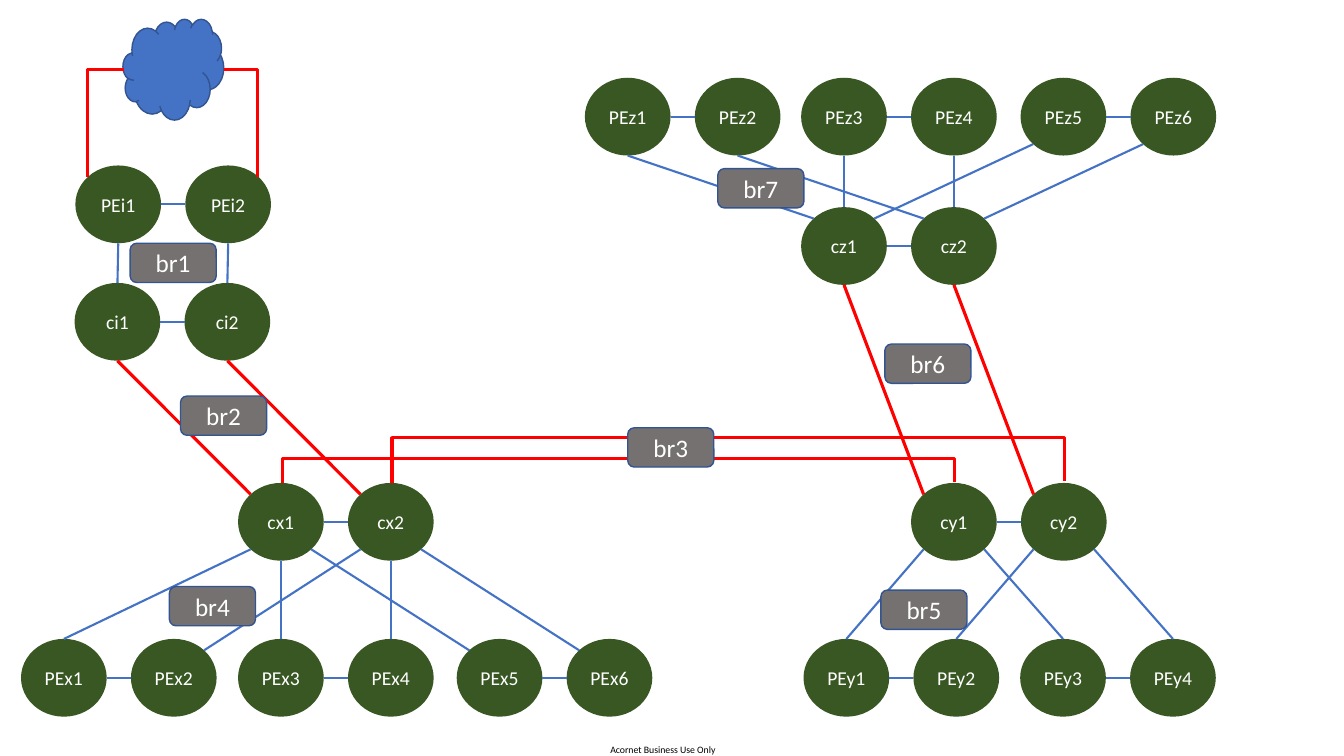
from math import cos, pi, sin

from lxml import etree
from pptx import Presentation
from pptx.dml.color import RGBColor
from pptx.enum.shapes import MSO_CONNECTOR, MSO_SHAPE
from pptx.enum.text import MSO_ANCHOR, PP_ALIGN
from pptx.oxml.ns import qn
from pptx.util import Cm, Pt

GREEN = RGBColor(0x38, 0x57, 0x23)
BLUE = RGBColor(0x44, 0x72, 0xC4)
NAVY = RGBColor(0x32, 0x54, 0x91)
RED = RGBColor(0xFF, 0x00, 0x00)
GRAY = RGBColor(0x76, 0x71, 0x71)
WHITE = RGBColor(0xFF, 0xFF, 0xFF)
BLACK = RGBColor(0x00, 0x00, 0x00)

OVAL, CLOUD, ROUND = MSO_SHAPE.OVAL, MSO_SHAPE.CLOUD, MSO_SHAPE.ROUNDED_RECTANGLE
LINE, ELBOW = MSO_CONNECTOR.STRAIGHT, MSO_CONNECTOR.ELBOW
MIDDLE, CENTER = MSO_ANCHOR.MIDDLE, PP_ALIGN.CENTER

# Connection sites of an ellipse, counted anticlockwise from the top
SITES = ["T", "TL", "L", "BL", "B", "BR", "R", "TR"]
NODE_W, NODE_H, PITCH = 2.16, 1.96, 2.77

# Node pairs: name, first number, left, top
PAIRS = [
    ("PEx", 1, 0.53, 16.1), ("PEx", 3, 6, 16.1), ("PEx", 5, 11.51, 16.1),
    ("PEy", 1, 20.25, 16.1), ("PEy", 3, 25.71, 16.1),
    ("PEz", 1, 14.74, 1.96), ("PEz", 3, 20.19, 1.96), ("PEz", 5, 25.72, 1.96),
    ("PEi", 1, 1.9, 4.17), ("ci", 1, 1.88, 7.13), ("cx", 1, 6, 12.17),
    ("cy", 1, 22.96, 12.17), ("cz", 1, 20.19, 5.22),
]
ACCESS = [
    "PEx1 T cx1 BL", "PEx2 TR cx2 BL", "PEx3 T cx1 B", "PEx4 T cx2 B",
    "PEx5 TL cx1 BR", "PEx6 TL cx2 BR",
    "PEy1 T cy1 BL", "PEy2 T cy2 BL", "PEy3 T cy1 BR", "PEy4 T cy2 BR",
    "PEz1 B cz1 TL", "PEz2 B cz2 TL", "PEz3 B cz1 T", "PEz4 B cz2 T",
    "PEz5 BL cz1 TR", "PEz6 BL cz2 TR",
    "ci1 T PEi1 B", "ci2 T PEi2 B",
]
CORE = ["cx1 TL ci1 B", "cx2 TL ci2 B", "cy1 TL cz1 B", "cy2 TL cz2 B"]
BADGES = [
    ("br1", 3.28, 6.13), ("br2", 4.55, 9.98), ("br3", 15.82, 10.78),
    ("br4", 4.27, 14.78), ("br5", 22.2, 14.87), ("br6", 22.3, 8.67),
    ("br7", 18.09, 4.25),
]


def write(shape, text, size=14, color=WHITE, wrap=False, inset=None):
    frame = shape.text_frame
    frame.word_wrap = wrap
    frame.vertical_anchor = MIDDLE
    if inset is not None:
        frame.margin_left = frame.margin_right = Cm(inset)
        frame.margin_top = frame.margin_bottom = Cm(inset)
    par = frame.paragraphs[0]
    par.alignment = CENTER
    run = par.add_run()
    run.text = text
    run.font.name = "Calibri"
    run.font.size = Pt(size)
    run.font.color.rgb = color


def block(slide, kind, left, top, width, height, fill, edge=None):
    shape = slide.shapes.add_shape(kind, Cm(left), Cm(top), Cm(width), Cm(height))
    shape.shadow.inherit = False
    shape.fill.solid()
    shape.fill.fore_color.rgb = fill
    if edge is None:
        shape.line.fill.background()
    else:
        shape.line.color.rgb = edge
        shape.line.width = Pt(1)
    return shape


def wire(slide, kind, start, end, color, width):
    line = slide.shapes.add_connector(kind, *map(Cm, start + end))
    line.line.color.rgb = color
    line.line.width = Pt(width)
    etree.SubElement(line._element.spPr, qn("a:effectLst"))
    return line


def site(node, name):
    turn = SITES.index(name) * pi / 4
    x = node.left + node.width / 2 * (1 - sin(turn))
    y = node.top + node.height / 2 * (1 - cos(turn))
    return Cm(1) and (x / Cm(1), y / Cm(1))


def link(slide, nodes, route, color, width):
    """Join two nodes, given as 'node site node site'."""
    first, leave, last, reach = route.split()
    ends = [(nodes[first], leave), (nodes[last], reach)]
    line = wire(slide, LINE, site(*ends[0]), site(*ends[1]), color, width)
    glue = line._element.find(".//" + qn("p:cNvCxnSpPr"))
    for tag, (node, name) in zip(("a:stCxn", "a:endCxn"), ends):
        etree.SubElement(glue, qn(tag), id=str(node.shape_id),
                         idx=str(SITES.index(name)))


def corner(slide, start, end):
    """Run sideways, then down."""
    line = wire(slide, ELBOW, start, end, RED, 2.25)
    line._element.spPr.find(qn("a:prstGeom")).set("prst", "bentConnector2")


def bridge(slide, left, right, base, rise):
    """Run up, across and down again, as a quarter-turned elbow."""
    step = 0.04
    x, y, half = (left + right) / 2, base - step / 2, (right - left) / 2
    line = wire(slide, ELBOW, (x + step / 2, y + half),
                (x - step / 2, y - half), RED, 2.25)
    props = line._element.spPr
    props.find(qn("a:xfrm")).set("rot", "5400000")
    bend = props.find(qn("a:prstGeom")).find(qn("a:avLst"))
    etree.SubElement(bend, qn("a:gd"), name="adj1",
                     fmla=f"val {round(rise / step * 100000)}")


def main():
    deck = Presentation()
    deck.slide_width, deck.slide_height = Cm(33.87), Cm(19.05)
    slide = deck.slides.add_slide(deck.slide_layouts[6])

    # Footer
    foot = slide.shapes.add_textbox(Cm(15.37), Cm(18.75), Cm(2.67), Cm(0.3))
    write(foot, "Acornet Business Use Only", size=7, color=BLACK, inset=0)

    # Node pairs, each with its tie
    nodes = {}
    for stem, first, left, top in PAIRS:
        pair = [f"{stem}{first}", f"{stem}{first + 1}"]
        for col, name in enumerate(pair):
            nodes[name] = block(slide, OVAL, left + col * PITCH, top,
                                NODE_W, NODE_H, GREEN)
            write(nodes[name], name)
        link(slide, nodes, f"{pair[0]} R {pair[1]} L", BLUE, 1.5)

    # Links between layers
    for routes, color, width in ((ACCESS, BLUE, 1.5), (CORE, RED, 2.25)):
        for route in routes:
            link(slide, nodes, route, color, width)
    bridge(slide, 7.11, 24.05, 12.18, 0.62)
    bridge(slide, 9.88, 26.82, 12.17, 1.14)

    # Cloud and its uplinks
    block(slide, CLOUD, 3.1, 0.48, 2.54, 2.54, BLUE, NAVY)
    corner(slide, (3.12, 1.75), (2.21, 4.46))
    corner(slide, (5.64, 1.75), (6.5, 4.45))

    # Bridge badges
    for name, left, top in BADGES:
        badge = block(slide, ROUND, left, top, 2.17, 0.99, GRAY, NAVY)
        write(badge, name, size=18)

    deck.save("out.pptx")


if __name__ == "__main__":
    main()
